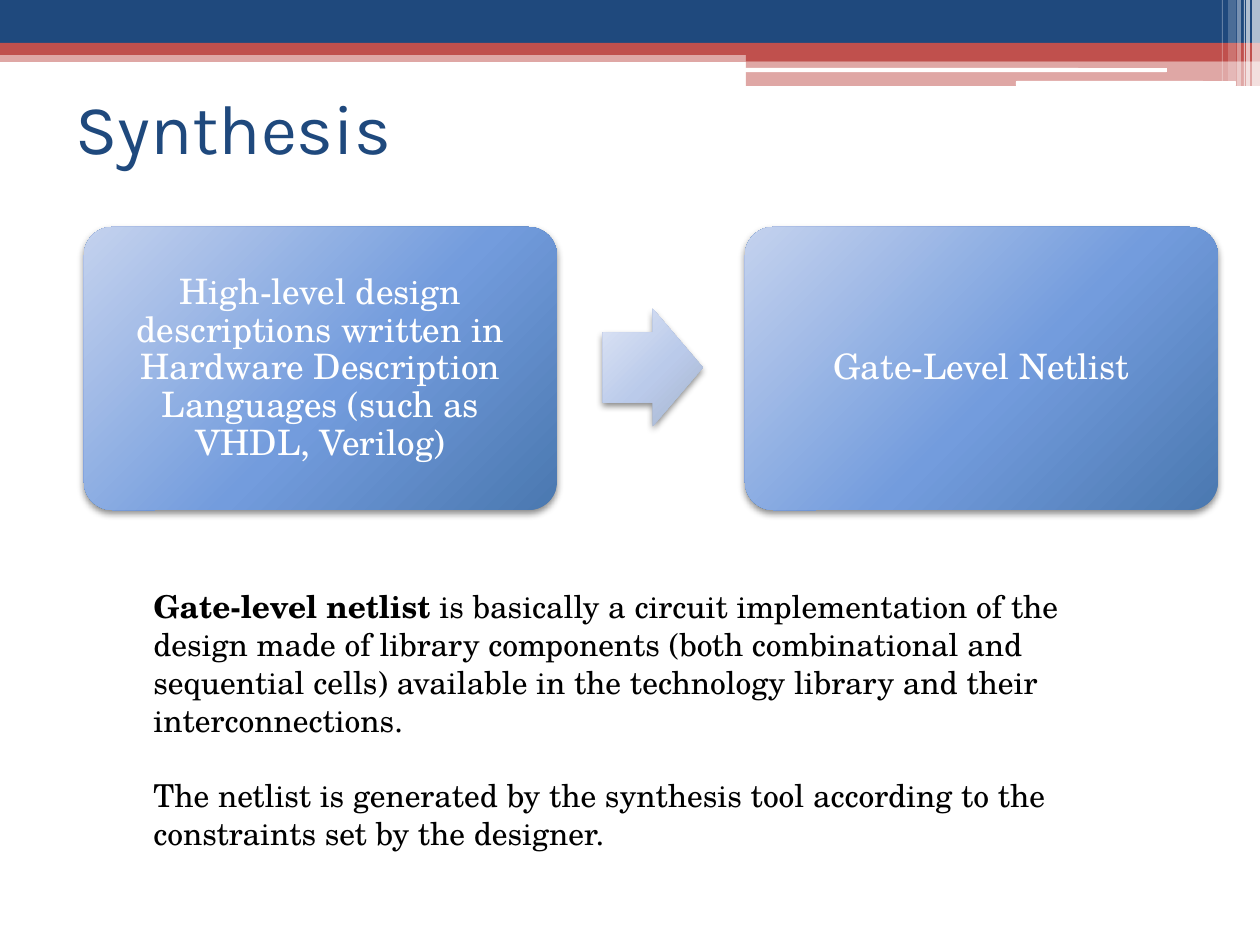
from lxml import etree
from pptx import Presentation
from pptx import util as u
from pptx.dml.color import RGBColor
from pptx.enum import shapes, text
from pptx.oxml import ns

THEME = {
    "navy": "1F497D", "red": "C0504D", "white": "FFFFFF", "black": "000000",
    "card": [(0, "C4D2EE"), (55, "739CDD"), (100, "4A78B0")],
    "arrow": [(0, "DEE5F5"), (55, "BACAEA"), (100, "A6B4CC")],
    "head": {"name": "Karla", "size": u.Pt(40)},
    "label": {"name": "TeX Gyre Schola", "size": u.Pt(20)},
    "body": {"name": "TeX Gyre Schola", "size": u.Pt(18)},
}

TITLE = "Synthesis"
CARDS = [
    "High-level design descriptions written in Hardware Description "
    "Languages (such as VHDL, Verilog)",
    "Gate-Level Netlist",
]
# Each paragraph is a list of (words, bold)
NOTES = [
    [("Gate-level netlist", True),
     (" is basically a circuit implementation of the design made of library "
      "components (both combinational and sequential cells) available in the "
      "technology library and their interconnections.", False)],
    [("The netlist is generated by the synthesis tool according to the "
      "constraints set by the designer.", False)],
]

# Lengths in px: left, top, width, height; then colour, opacity %
BANDS = [
    (0, 50, 1260, 12, "red", 50),
    (0, 0, 1260, 43, "navy", 100),
    (0, 43, 1260, 12, "red", 100),
    (746, 49, 514, 12, "red", 100),
    (746, 61, 514, 25, "red", 50),
]
BARS = [(745, 68, 422, 4, "white", 100), (1016, 81, 220, 5, "white", 100)]
# Left, width, height, opacity %
STRIPES = [(1252, 8, 86, 65), (1246, 4, 86, 65), (1244, 1, 86, 60),
           (1237, 4, 86, 40), (1228, 8, 81, 20), (1222, 1, 81, 30)]
TITLE_BOX = (63, 53, 1134, 147)
CARD_BOX = (84, 227, 473, 283)
CARD_STEP = 661
ARROW_BOX = (603, 309, 100, 117)
NOTE_BOX = (141, 581, 1018, 242)
PAD = 10

KIND = shapes.MSO_SHAPE


def px(n):
    return u.Emu(round(n * 914400 / 126))


def place(*box):
    return [px(n) for n in box]


def tint(key):
    return RGBColor.from_string(THEME[key])


def style(item, values):
    for key, value in values.items():
        setattr(item, key, value)


def write(para, words, font, color, bold=False):
    run = para.add_run()
    run.text = words
    style(run.font, {**THEME[font], "bold": bold})
    run.font.color.rgb = tint(color)


def sub(node, tag, **attrs):
    return etree.SubElement(node, ns.qn("a:" + tag),
                            {key: str(value) for key, value in attrs.items()})


def draw(slide, kind, box, adjust=()):
    shape = slide.shapes.add_shape(kind, *place(*box))
    shape.shadow.inherit = False
    shape.line.fill.background()
    for i, value in enumerate(adjust):
        shape.adjustments[i] = value
    return shape


def band(slide, kind, left, top, width, height, color, alpha):
    shape = draw(slide, kind, (left, top, width, height))
    shape.fill.solid()
    shape.fill.fore_color.rgb = tint(color)
    if alpha < 100:
        tone = shape._element.spPr.find(".//" + ns.qn("a:srgbClr"))
        sub(tone, "alpha", val=alpha * 1000)


def gloss(shape, stops):
    """Give the shape a three-tone gradient and a soft shadow below it."""
    shape.fill.gradient()
    grad = shape._element.spPr.find(ns.qn("a:gradFill"))
    for child in list(grad):
        grad.remove(child)
    tones = sub(grad, "gsLst")
    for pos, color in THEME[stops]:
        sub(sub(tones, "gs", pos=pos * 1000), "srgbClr", val=color)
    sub(sub(grad, "path", path="circle"), "fillToRect",
        l=-40000, t=-90000, r=140000, b=190000)
    effect = shape._element.spPr.find(ns.qn("a:effectLst"))
    shade = sub(effect, "outerShdw", blurRad=u.Pt(4), dist=u.Pt(2),
                dir=90 * 60000, rotWithShape=0)
    sub(sub(shade, "srgbClr", val=THEME["black"]), "alpha", val=45000)


def banner(slide):
    for row in BANDS:
        band(slide, KIND.RECTANGLE, *row)
    for row in BARS:
        band(slide, KIND.ROUNDED_RECTANGLE, *row)
    for left, width, height, alpha in STRIPES:
        band(slide, KIND.RECTANGLE, left, 0, width, height, "white", alpha)


def heading(slide):
    title = slide.shapes.title
    style(title, dict(zip(("left", "top", "width", "height"),
                          place(*TITLE_BOX))))
    title.text_frame.vertical_anchor = text.MSO_ANCHOR.MIDDLE
    para = title.text_frame.paragraphs[0]
    para.alignment = text.PP_ALIGN.LEFT
    write(para, TITLE, "head", "navy")


def flow(slide):
    left, *rest = CARD_BOX
    for i, words in enumerate(CARDS):
        card = draw(slide, KIND.ROUNDED_RECTANGLE,
                    (left + i * CARD_STEP, *rest), [0.1])
        gloss(card, "card")
        frame = card.text_frame
        sides = ("left", "top", "right", "bottom")
        style(frame, {"margin_" + side: px(PAD) for side in sides})
        style(frame, {"word_wrap": True,
                      "vertical_anchor": text.MSO_ANCHOR.MIDDLE})
        para = frame.paragraphs[0]
        style(para, {"alignment": text.PP_ALIGN.CENTER, "line_spacing": 0.9})
        write(para, words, "label", "white")
    gloss(draw(slide, KIND.RIGHT_ARROW, ARROW_BOX, [0.6, 0.5]), "arrow")


def notes(slide):
    frame = slide.shapes.add_textbox(*place(*NOTE_BOX)).text_frame
    frame.word_wrap = True
    for i, parts in enumerate(NOTES):
        para = frame.add_paragraph() if i else frame.paragraphs[0]
        para.space_before = u.Pt(21.6 if i else 0)
        for words, bold in parts:
            write(para, words, "body", "black", bold)


def main():
    deck = Presentation()
    style(deck, {"slide_width": px(1260), "slide_height": px(945)})
    slide = deck.slides.add_slide(deck.slide_layouts.get_by_name("Title Only"))
    for part in (banner, heading, flow, notes):
        part(slide)
    deck.save("out.pptx")


if __name__ == "__main__":
    main()
